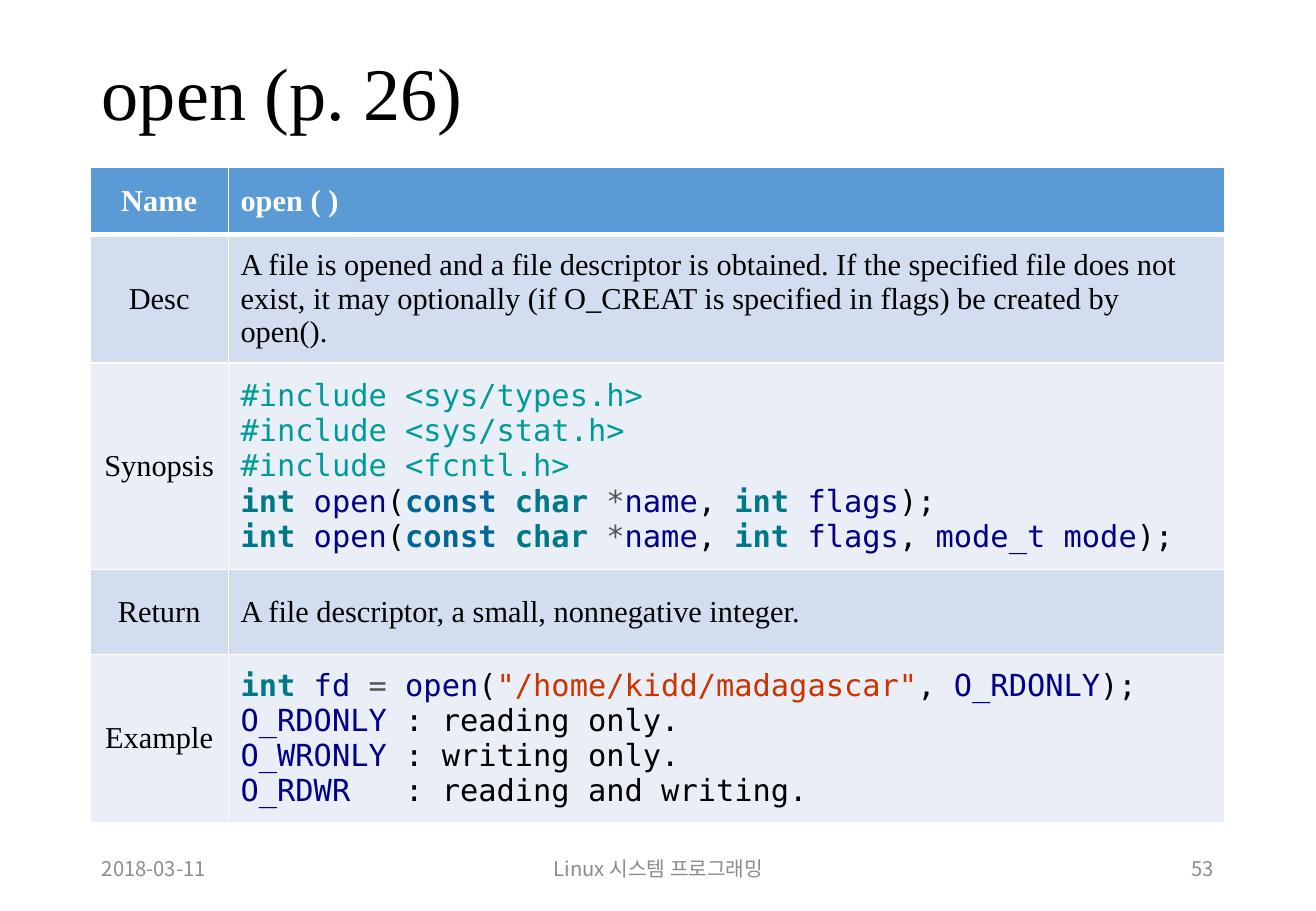
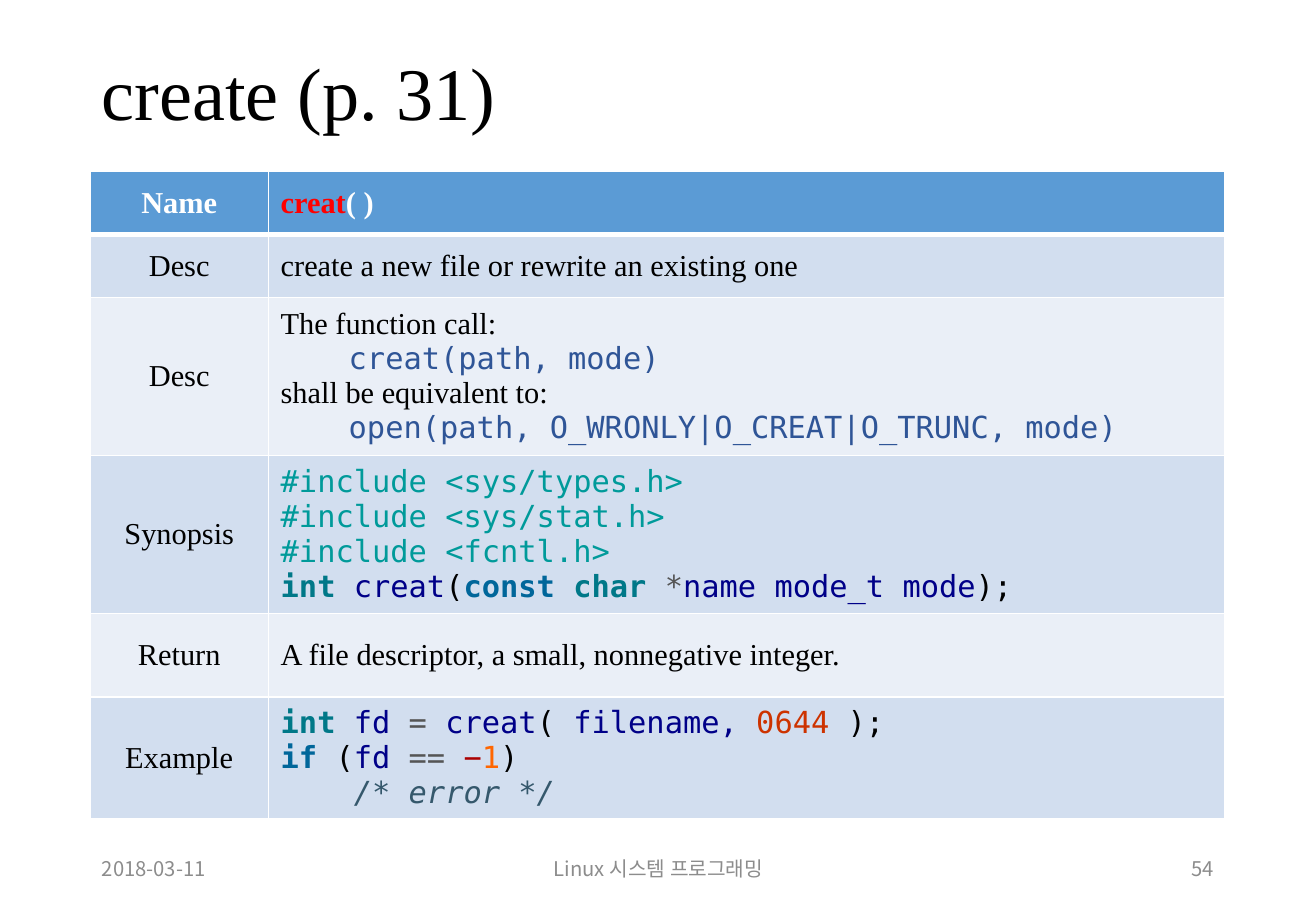
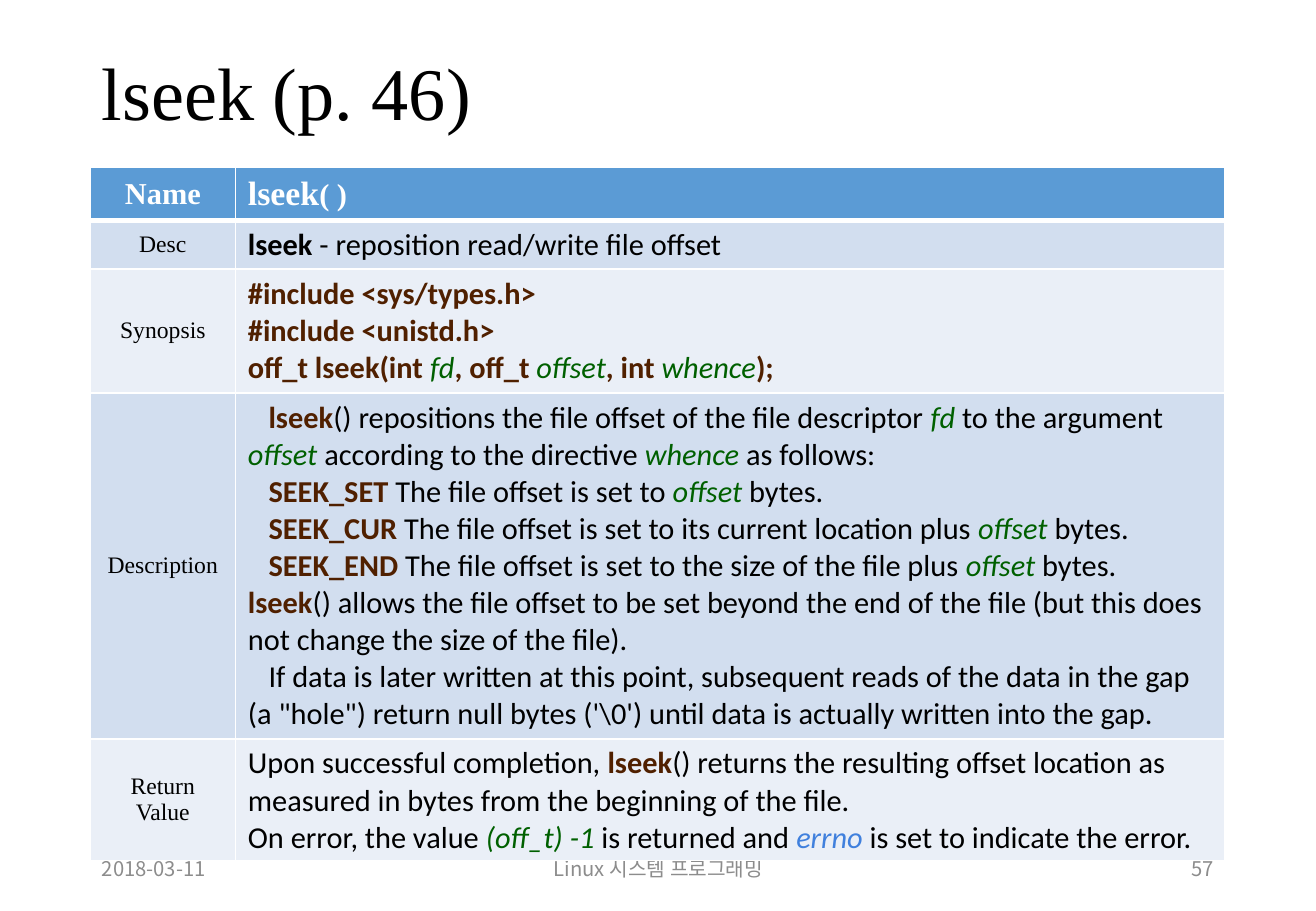
"""Builds three system call reference slides, each with a title, a table and a footer."""
from dataclasses import dataclass

from lxml import etree
from pptx import Presentation
from pptx import util as u
from pptx.dml.color import RGBColor
from pptx.enum import text
from pptx.oxml import ns

SERIF, MONO, SANS, KOREAN = "Times New Roman", "DejaVu Sans Mono", "Calibri", "Noto Sans CJK KR"
BLACK = RGBColor(0x00, 0x00, 0x00)
WHITE = RGBColor(0xFF, 0xFF, 0xFF)
GREY = RGBColor(0x8C, 0x8C, 0x8C)
HEADER = RGBColor(0x5B, 0x9B, 0xD5)
BANDS = RGBColor(0xD2, 0xDE, 0xEF), RGBColor(0xEA, 0xEF, 0xF7)
TEAL = RGBColor(0x00, 0x9A, 0x9A)
CYAN = RGBColor(0x00, 0x78, 0x88)
BLUE = RGBColor(0x00, 0x66, 0x9A)
NAVY = RGBColor(0x00, 0x00, 0x88)
DARK_GREY = RGBColor(0x55, 0x55, 0x55)
VERMILION = RGBColor(0xCD, 0x33, 0x00)
CRIMSON = RGBColor(0xAB, 0x00, 0x00)
ORANGE = RGBColor(0xFF, 0x66, 0x00)
SLATE = RGBColor(0x35, 0x58, 0x6C)
RED = RGBColor(0xFF, 0x00, 0x00)
STEEL = RGBColor(0x2F, 0x55, 0x97)
BROWN = RGBColor(0x50, 0x20, 0x00)
GREEN = RGBColor(0x00, 0x60, 0x00)
SKY = RGBColor(0x40, 0x80, 0xDD)

STYLES = {
    "plain": (BLACK, False, False),
    "bold": (BLACK, True, False),
    "head": (WHITE, True, False),
    "alert": (RED, True, False),
    "foot": (GREY, False, False),
    "include": (TEAL, False, False),
    "type": (CYAN, True, False),
    "key": (BLUE, True, False),
    "name": (NAVY, False, False),
    "op": (DARK_GREY, False, False),
    "str": (VERMILION, False, False),
    "sign": (CRIMSON, False, False),
    "num": (ORANGE, False, False),
    "comment": (SLATE, False, True),
    "call": (STEEL, False, False),
    "man": (BROWN, True, False),
    "arg": (GREEN, False, True),
    "errno": (SKY, False, True),
}
LEFT, WIDTH = 0.74, 9.34
LEFT_ALIGN, CENTER, RIGHT = text.PP_ALIGN.LEFT, text.PP_ALIGN.CENTER, text.PP_ALIGN.RIGHT


@dataclass
class Line:
    """One paragraph, where {style} switches the style of the text after it."""
    markup: str
    font: str = SERIF
    size: int = 18
    style: str = "plain"
    align: int = LEFT_ALIGN
    left: float = 0
    first: float = 0
    spacing: float = 1.0


def code(*lines):
    """Returns lines of monospaced code."""
    return [Line(line, MONO) for line in lines]


def manual(*lines, first=0):
    """Returns lines of manual page text."""
    return [Line(line, SANS, first=first) for line in lines]


class Deck:
    """Holds the presentation, its style and the current slide."""

    def __init__(self):
        self.prs = Presentation()
        self.prs.slide_width, self.prs.slide_height = u.Inches(10.83), u.Inches(7.5)

    def slide(self, title, number):
        """Starts a slide with its title and footer."""
        self.s = self.prs.slides.add_slide(self.prs.slide_layouts[6])
        self.text(LEFT, 0.4, WIDTH, 0.79, Line(title, size=44, spacing=0.9))
        footers = ((LEFT, 2.44, "2018-03-11", LEFT_ALIGN),
                   (3.59, 3.66, "Linux 시스템 프로그래밍", CENTER),
                   (7.65, 2.44, number, RIGHT))
        for x, w, words, align in footers:
            self.text(x, 6.95, w, 0.4, Line(words, KOREAN, 12, "foot", align))

    def text(self, x, y, w, h, line):
        """Adds a text box with one line, centred vertically."""
        sp = self.s.shapes.add_textbox(u.Inches(x), u.Inches(y), u.Inches(w), u.Inches(h))
        tf = sp.text_frame
        tf.word_wrap = True
        tf.vertical_anchor = text.MSO_ANCHOR.MIDDLE
        self.fill_text(tf, [line])

    def fill_text(self, tf, lines):
        """Writes lines into a text frame."""
        for i, line in enumerate(lines):
            p = tf.add_paragraph() if i else tf.paragraphs[0]
            p.alignment, p.line_spacing = line.align, line.spacing
            pPr = p._p.get_or_add_pPr()
            pPr.set("marL", str(u.Inches(line.left)))
            pPr.set("indent", str(u.Inches(line.first)))
            p.font.name, p.font.size = line.font, u.Pt(line.size)
            plain, *marked = line.markup.split("{")
            parts = [(line.style, plain)] if plain else []
            for part in marked:
                style, _, words = part.partition("}")
                parts.append((style, words))
            for style, words in parts:
                self.run(p, words, style, line)

    def run(self, p, words, style, line):
        """Adds a styled run to a paragraph."""
        r = p.add_run()
        r.text = words
        r.font.name, r.font.size = line.font, u.Pt(line.size)
        r.font.color.rgb, r.font.bold, r.font.italic = STYLES[style]
        if line.font == KOREAN:
            ea = etree.SubElement(r._r.get_or_add_rPr(), ns.qn("a:ea"))
            ea.set("typeface", KOREAN)

    def table(self, top, label_width, heading, rows, label_size=18, header_height=0.5):
        """Adds a table of labels and contents below a blue heading row."""
        rows = [("Name", header_height, heading)] + rows
        total = sum(height for _, height, _ in rows)
        table = self.s.shapes.add_table(len(rows), 2, u.Inches(LEFT), u.Inches(top),
                                        u.Inches(WIDTH), u.Inches(total)).table
        table.columns[0].width = u.Inches(label_width)
        table.columns[1].width = u.Inches(WIDTH - label_width)
        for i, (label, height, content) in enumerate(rows):
            table.rows[i].height = u.Inches(height)
            style, size = ("plain", label_size) if i else ("head", 18)
            labels = [Line(word, size=size, style=style, align=CENTER) for word in label.split("\n")]
            for j, lines in enumerate((labels, content)):
                cell = table.cell(i, j)
                cell.vertical_anchor = text.MSO_ANCHOR.MIDDLE
                cell.fill.solid()
                cell.fill.fore_color.rgb = BANDS[(i - 1) % 2] if i else HEADER
                self.borders(cell, 3 if i == 1 else 1, 1 if i else 3)
                self.fill_text(cell.text_frame, lines)

    def borders(self, cell, top, bottom):
        """Draws white borders around a cell."""
        tcPr = cell._tc.get_or_add_tcPr()
        for i, (side, width) in enumerate((("L", 1), ("R", 1), ("T", top), ("B", bottom))):
            ln = etree.Element(ns.qn(f"a:ln{side}"), w=str(u.Pt(width)))
            fill = etree.SubElement(ln, ns.qn("a:solidFill"))
            etree.SubElement(fill, ns.qn("a:srgbClr"), val=str(WHITE))
            tcPr.insert(i, ln)


def open_slide(deck):
    """Builds the slide on open."""
    prototype = "{type}int {name}open{plain}({key}const {type}char {op}*{name}name{plain}, {type}int {name}flags"
    deck.slide("open (p. 26)", "53")
    deck.table(1.38, 1.14, [Line("open ( )", style="head")], [
        ("Desc", 1.06, [Line(
            "A file is opened and a file descriptor is obtained. If the specified file does not exist, "
            "it may optionally (if O_CREAT is specified in flags) be created by open().")]),
        ("Synopsis", 1.7, code(
            "{include}#include <sys/types.h>",
            "{include}#include <sys/stat.h>",
            "{include}#include <fcntl.h>",
            prototype + "{plain});",
            prototype + "{plain}, {name}mode_t mode{plain});")),
        ("Return", 0.7, [Line("A file descriptor, a small, nonnegative integer.")]),
        ("Example", 1.38, code(
            '{type}int {name}fd {op}= {name}open{plain}({str}"/home/kidd/madagascar"{plain}, '
            "{name}O_RDONLY{plain});",
            "{name}O_RDONLY{plain} : reading only.",
            "{name}O_WRONLY{plain} : writing only.",
            "{name}O_RDWR {plain}  : reading and writing.")),
    ], header_height=0.55)


def creat_slide(deck):
    """Builds the slide on creat."""
    deck.slide("create (p. 31)", "54")
    deck.table(1.41, 1.47, [Line("{alert}creat{head}( )")], [
        ("Desc", 0.52, [Line("create a new file or rewrite an existing one")]),
        ("Desc", 1.23, [
            Line("The function call:"),
            Line("creat(path, mode)", MONO, style="call", left=0.56),
            Line("shall be equivalent to:"),
            Line("open(path, O_WRONLY|O_CREAT|O_TRUNC, mode)", MONO, style="call", left=0.56)]),
        ("Synopsis", 1.26, code(
            "{include}#include <sys/types.h>",
            "{include}#include <sys/stat.h>",
            "{include}#include <fcntl.h>",
            "{type}int {name}creat{plain}({key}const {type}char {op}*{name}name mode_t mode{plain});")),
        ("Return", 0.69, [Line("A file descriptor, a small, nonnegative integer.")]),
        ("Example", 0.96, code(
            "{type}int {name}fd {op}= {name}creat{plain}({name} filename, {str}0644{plain} );",
            "{key}if {plain}({name}fd {op}== {sign}−{num}1{plain})",
            "{comment}    /* error */")),
    ], header_height=0.52)


def lseek_slide(deck):
    """Builds the slide on lseek."""
    STYLES["big"] = STYLES["head"]
    deck.slide("lseek (p. 46)", "57")
    heading = Line("lseek( )", size=20, style="head")
    deck.table(1.38, 1.2, [heading], [
        ("Desc", 0.4, manual("{bold}lseek{plain} - reposition read/write file offset")),
        ("Synopsis", 1.02, manual(
            "{man}#include <sys/types.h>",
            "{man}#include <unistd.h>",
            "{man}off_t lseek(int {arg}fd{man}, off_t {arg}offset{man}, int {arg}whence{man});")),
        ("Description", 2.85, manual(
            "{man}lseek{plain}() repositions the file offset of the file descriptor {arg}fd{plain} to the "
            "argument {arg}offset{plain} according to the directive {arg}whence{plain} as follows:",
            "{man}SEEK_SET{plain} The file offset is set to {arg}offset{plain} bytes.",
            "{man}SEEK_CUR{plain} The file offset is set to its current location plus "
            "{arg}offset{plain} bytes.",
            "{man}SEEK_END{plain} The file offset is set to the size of the file plus "
            "{arg}offset{plain} bytes.", first=0.17) + manual(
            "{man}lseek{plain}() allows the file offset to be set beyond the end of the file "
            "(but this does not change the size of the file).") + manual(
            "If data is later written at this point, subsequent reads of the data in the gap "
            "(a \"hole\") return null bytes ('\\0') until data is actually written into the gap.",
            first=0.17)),
        ("Return\nValue", 1.0, manual(
            "Upon successful completion, {man}lseek{plain}() returns the resulting offset location as "
            "measured in bytes from the beginning of the file.",
            "On error, the value {arg}(off_t) -1{plain} is returned and {errno}errno{plain} is set to "
            "indicate the error.")),
    ], label_size=14, header_height=0.4)
    table = deck.s.shapes[-1].table
    p = table.cell(0, 1).text_frame.paragraphs[0]
    p.runs[0].text = "lseek"
    deck.run(p, "( )", "head", Line(""))


def main():
    """Builds and saves the deck."""
    deck = Deck()
    for build in (open_slide, creat_slide, lseek_slide):
        build(deck)
    deck.prs.save("out.pptx")


if __name__ == "__main__":
    main()
